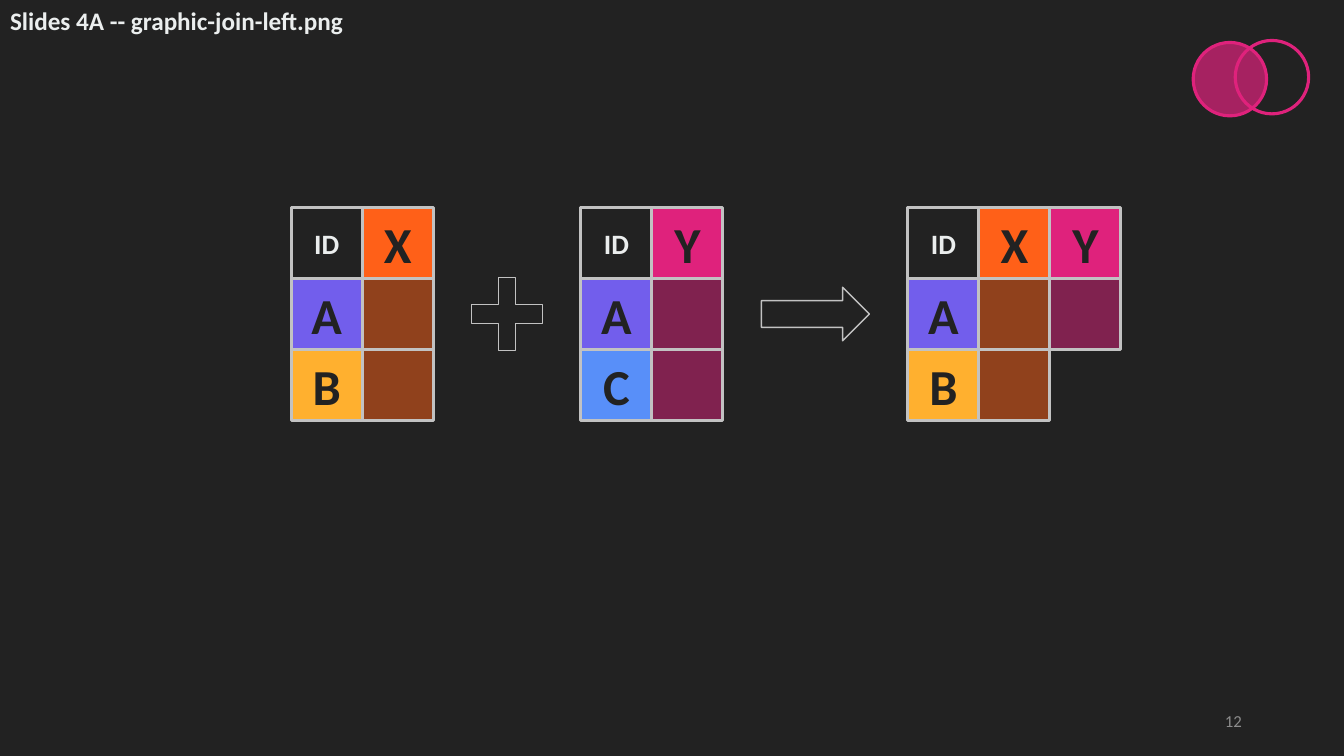
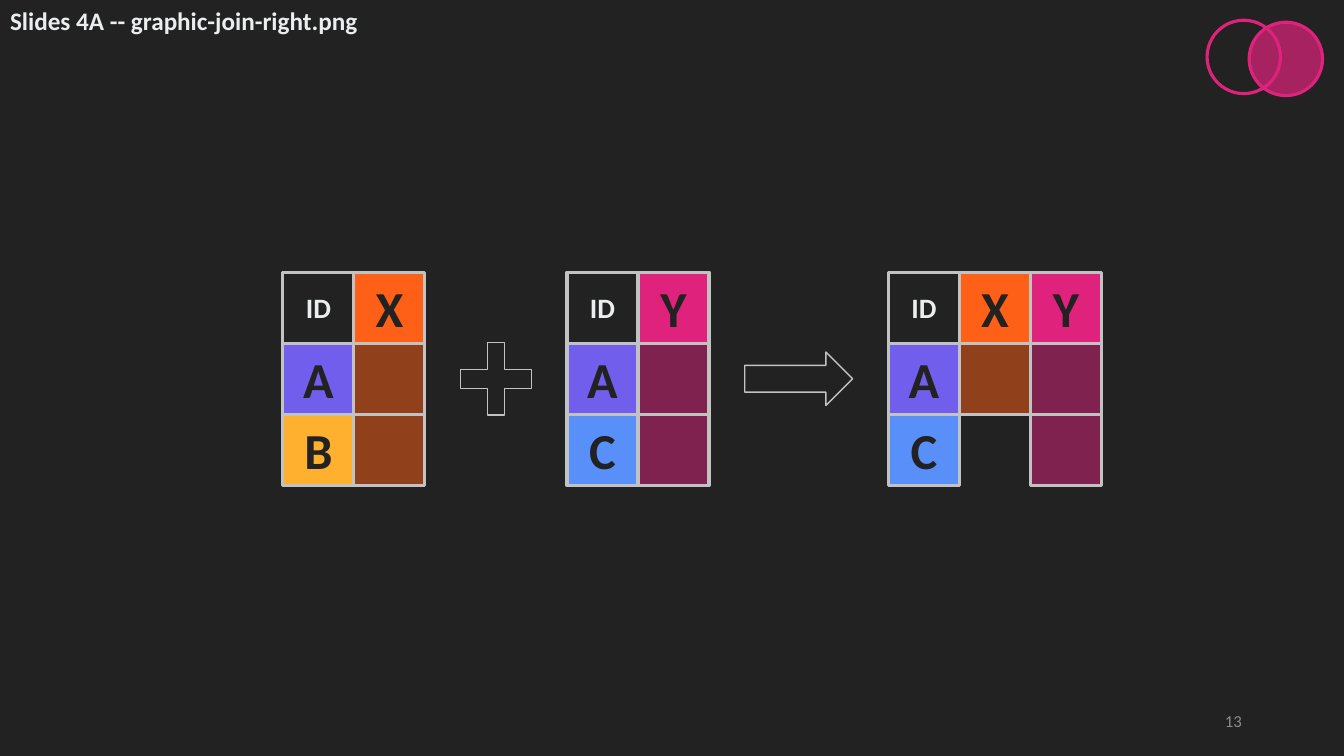
import lxml.etree
import pptx
import pptx.util
import pptx.dml.color
import pptx.enum.shapes
import pptx.enum.text
import pptx.oxml.ns

Cm = pptx.util.Cm
Pt = pptx.util.Pt
RGBColor = pptx.dml.color.RGBColor
MSO_SHAPE = pptx.enum.shapes.MSO_SHAPE
PP_ALIGN = pptx.enum.text.PP_ALIGN
MSO_ANCHOR = pptx.enum.text.MSO_ANCHOR
qn = pptx.oxml.ns.qn

FONT = "Calibri"
DARK = RGBColor(0x22, 0x22, 0x22)
LIGHT = RGBColor(0xEB, 0xEE, 0xEE)
NUMBER_GREY = RGBColor(0x8C, 0x8C, 0x8C)
OUTLINE = RGBColor(0xC2, 0xC2, 0xC2)
PURPLE = RGBColor(0x72, 0x5E, 0xEC)
YELLOW = RGBColor(0xFF, 0xB0, 0x2F)
BLUE = RGBColor(0x58, 0x8F, 0xF9)
ORANGE = RGBColor(0xFF, 0x60, 0x18)
PINK = RGBColor(0xDF, 0x22, 0x7C)

# Lengths in centimetres
CELL = 1.79
PLUS_W, PLUS_H = 1.78, 1.83
ARROW_W, ARROW_H = 2.72, 1.35
CIRCLE, CIRCLE_SHIFT, CIRCLE_DROP = 1.85, 1.06, 0.05

CELL_FILLS = {"ID": DARK, "A": PURPLE, "B": YELLOW, "C": BLUE, "X": ORANGE, "Y": PINK}
# Lower case marks a value cell: the column's colour, half transparent, no text
VALUE_FILLS = {"x": ORANGE, "y": PINK}

LEFT_TABLE = (("ID", "X"), ("A", "x"), ("B", "x"))
RIGHT_TABLE = (("ID", "Y"), ("A", "y"), ("C", "y"))
LEFT_JOIN = (("ID", "X", "Y"), ("A", "x", "y"), ("B", "x", None))
RIGHT_JOIN = (("ID", "X", "Y"), ("A", "x", "y"), ("C", None, "y"))


def style_text(tf, text, size, color, align, anchor, bold=True):
    tf.word_wrap = True
    tf.vertical_anchor = anchor
    p = tf.paragraphs[0]
    p.text = text
    p.alignment = align
    p.font.name = FONT
    p.font.size = Pt(size)
    p.font.bold = bold
    p.font.color.rgb = color


def add_outlined(shapes, kind, x, y, w, h, fill, line, line_width, opacity=100):
    """Add a preset shape; a fill of None leaves it hollow."""
    sp = shapes.add_shape(kind, Cm(x), Cm(y), Cm(w), Cm(h))
    sp.shadow.inherit = False
    sp.line.color.rgb = line
    sp.line.width = Pt(line_width)
    if fill is None:
        sp.fill.background()
        return sp
    sp.fill.solid()
    sp.fill.fore_color.rgb = fill
    if opacity < 100:
        clr = sp.element.spPr.find(qn("a:solidFill")).find(qn("a:srgbClr"))
        lxml.etree.SubElement(clr, qn("a:alpha"), val=str(opacity * 1000))
    return sp


def add_cell(shapes, x, y, label):
    is_value = label in VALUE_FILLS
    fill = VALUE_FILLS[label] if is_value else CELL_FILLS[label]
    sp = add_outlined(shapes, MSO_SHAPE.RECTANGLE, x, y, CELL, CELL, fill,
                      OUTLINE, 2.25, 50 if is_value else 100)
    if is_value:
        return
    tf = sp.text_frame
    tf.margin_left = tf.margin_right = 0
    size, color = (20, LIGHT) if label == "ID" else (36, DARK)
    style_text(tf, label, size, color, PP_ALIGN.CENTER, MSO_ANCHOR.MIDDLE)


def add_grid(slide, x, y, rows):
    """Draw one grouped grid of cells and return its right edge."""
    group = slide.shapes.add_group_shape()
    for i, row in enumerate(rows):
        for j, label in enumerate(row):
            if label:
                add_cell(group.shapes, x + j * CELL, y + i * CELL, label)
    return x + len(rows[0]) * CELL


def add_operator(slide, kind, x, middle, w, h):
    """Draw a sign centred on the given height and return it."""
    return add_outlined(slide.shapes, kind, x, middle - h / 2, w, h, DARK, OUTLINE, 1)


def add_equation(slide, x, y, gap, result):
    """Left table + right table -> result, with equal gaps."""
    middle = y + 1.5 * CELL
    x = add_grid(slide, x, y, LEFT_TABLE) + gap
    plus = add_operator(slide, MSO_SHAPE.CROSS, x, middle, PLUS_W, PLUS_H)
    plus.adjustments[0] = 0.38
    x = add_grid(slide, x + PLUS_W + gap, y, RIGHT_TABLE) + gap
    add_operator(slide, MSO_SHAPE.RIGHT_ARROW, x, middle, ARROW_W, ARROW_H)
    add_grid(slide, x + ARROW_W + gap, y, result)


def add_venn(slide, x, y, filled):
    """Two overlapping circles; filled is 0 for the left one, 1 for the right."""
    group = slide.shapes.add_group_shape()
    for side, fill, drop in ((filled, PINK, CIRCLE_DROP), (1 - filled, None, 0)):
        add_outlined(group.shapes, MSO_SHAPE.OVAL, x + side * CIRCLE_SHIFT, y + drop,
                     CIRCLE, CIRCLE, fill, PINK, 2.25, 70)


def add_join_slide(prs, title, number):
    """Add a slide with the shared title and slide number."""
    slide = prs.slides.add_slide(prs.slide_layouts.get_by_name("Title Only"))
    sp = slide.shapes.title
    sp.left, sp.top, sp.width, sp.height = Cm(0), Cm(0), Cm(15.95), Cm(1.03)
    style_text(sp.text_frame, title, 18, LIGHT, PP_ALIGN.LEFT, MSO_ANCHOR.TOP)
    sp.text_frame.auto_size = pptx.enum.text.MSO_AUTO_SIZE.SHAPE_TO_FIT_TEXT
    box = slide.shapes.add_textbox(Cm(23.93), Cm(17.65), Cm(7.62), Cm(1.02))
    style_text(box.text_frame, str(number), 12, NUMBER_GREY, PP_ALIGN.RIGHT,
               MSO_ANCHOR.MIDDLE, bold=False)
    return slide


def main():
    prs = pptx.Presentation()
    prs.slide_width, prs.slide_height = Cm(33.87), Cm(19.05)
    background = prs.slide_master.background.fill
    background.solid()
    background.fore_color.rgb = DARK

    left = add_join_slide(prs, "Slides 4A -- graphic-join-left.png", 12)
    add_venn(left, 30.07, 1.02, filled=0)
    add_equation(left, 7.34, 5.23, 0.97, LEFT_JOIN)

    right = add_join_slide(prs, "Slides 4A -- graphic-join-right.png", 13)
    add_venn(right, 30.42, 0.51, filled=1)
    add_equation(right, 7.13, 6.86, 0.9, RIGHT_JOIN)

    prs.save("out.pptx")


if __name__ == "__main__":
    main()
